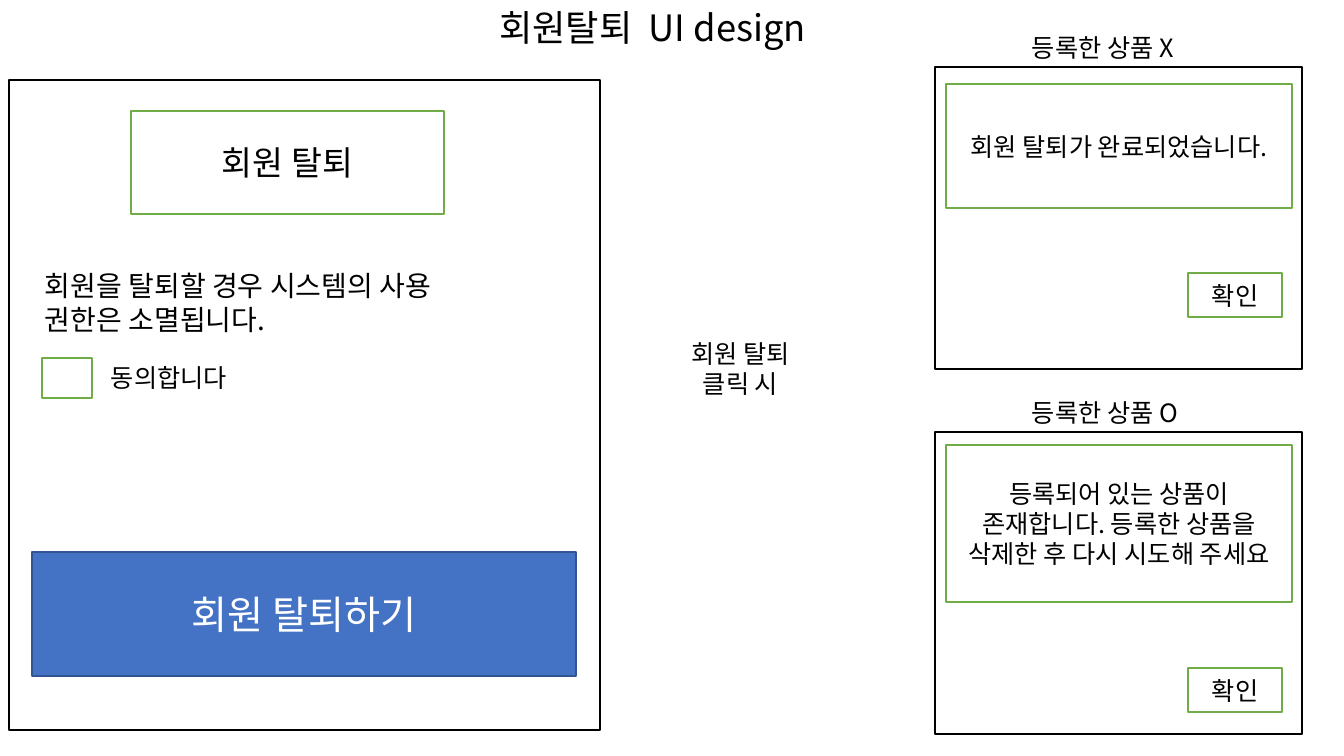
from lxml.etree import SubElement
from pptx import Presentation
from pptx.dml.color import RGBColor
from pptx.enum.shapes import MSO_SHAPE
from pptx.enum.text import MSO_ANCHOR, PP_ALIGN
from pptx.oxml.ns import qn
from pptx.util import Pt

PX = 914400 / 100.8
FONT = "Noto Sans CJK KR"
BLACK = RGBColor(0x00, 0x00, 0x00)
WHITE = RGBColor(0xFF, 0xFF, 0xFF)
GREEN = RGBColor(0x70, 0xAD, 0x47)
BLUE = RGBColor(0x44, 0x72, 0xC4)
NAVY = RGBColor(0x32, 0x54, 0x91)


def px(*nums):
    return [round(n * PX) for n in nums]


def write(shape, text, size, color=BLACK, align=PP_ALIGN.CENTER,
          anchor=MSO_ANCHOR.MIDDLE):
    frame = shape.text_frame
    frame.word_wrap = True
    frame.vertical_anchor = anchor
    para = frame.paragraphs[0]
    para.text = text
    para.alignment = align
    font = para.font
    font.size = Pt(size)
    font.name = FONT
    font.color.rgb = color
    # Korean letters take the East Asian font
    base = para._p.pPr.find(qn("a:defRPr"))
    SubElement(base, qn("a:ea")).set("typeface", FONT)
    return para


def label(slide, box, text, size, align=PP_ALIGN.CENTER):
    shape = slide.shapes.add_textbox(*px(*box))
    return write(shape, text, size, align=align, anchor=MSO_ANCHOR.TOP)


def rect(slide, box, line, fill=WHITE):
    shape = slide.shapes.add_shape(MSO_SHAPE.RECTANGLE, *px(*box))
    shape.shadow.inherit = False
    shape.fill.solid()
    shape.fill.fore_color.rgb = fill
    shape.line.color.rgb = line
    shape.line.width = Pt(1)
    return shape


def form(slide, x, y, w, h):
    """Withdrawal form with notice, consent box and button."""
    rect(slide, (x, y, w, h), BLACK)
    # Notice and consent
    note = rect(slide, (x + 26, y + 93, 469, 258), WHITE)
    write(note, "회원을 탈퇴할 경우 시스템의 사용 권한은 소멸됩니다.", 20,
          align=PP_ALIGN.LEFT)
    rect(slide, (x + 33, y + 278, 50, 40), GREEN)
    agree = rect(slide, (x + 92, y + 271, 255, 53), WHITE)
    write(agree, "동의합니다", 18, align=PP_ALIGN.LEFT)
    # Button
    button = rect(slide, (x + 23, y + 472, w - 47, 124), NAVY, BLUE)
    write(button, "회원 탈퇴하기", 28, WHITE)
    # Heading
    head = rect(slide, (x + 122, y + 31, 313, 103), GREEN)
    write(head, "회원 탈퇴", 24)


def popup(slide, x, y, w, h, title, text, top, tall, low):
    """Captioned dialog with a message and an OK button."""
    label(slide, (x + 87, y - 40, 221, 40), title, 18, PP_ALIGN.LEFT)
    rect(slide, (x, y, w, h), BLACK)
    body = rect(slide, (x + 11, y + top, w - 21, tall), GREEN)
    write(body, text, 18)
    done = rect(slide, (x + w - 114, y + low, 94, 44), GREEN)
    write(done, "확인", 18)


def main():
    deck = Presentation()
    deck.slide_width, deck.slide_height = px(1344, 756)
    slide = deck.slides.add_slide(deck.slide_layouts[6])
    # Title
    title = label(slide, (101, 12, 1103, 44), "회원탈퇴  UI design", 25.9)
    title.line_spacing = 0.7
    # Form and the action that follows
    form(slide, 9, 80, 591, 650)
    label(slide, (675, 333, 131, 72), "회원 탈퇴 클릭 시", 18)
    # Results
    popup(slide, 935, 67, 367, 302, "등록한 상품 X",
          "회원 탈퇴가 완료되었습니다.", 17, 124, 206)
    popup(slide, 935, 432, 367, 302, "등록한 상품 O",
          "등록되어 있는 상품이 존재합니다. 등록한 상품을 삭제한 후 다시 시도해 주세요",
          13, 157, 236)
    deck.save("out.pptx")


if __name__ == "__main__":
    main()
